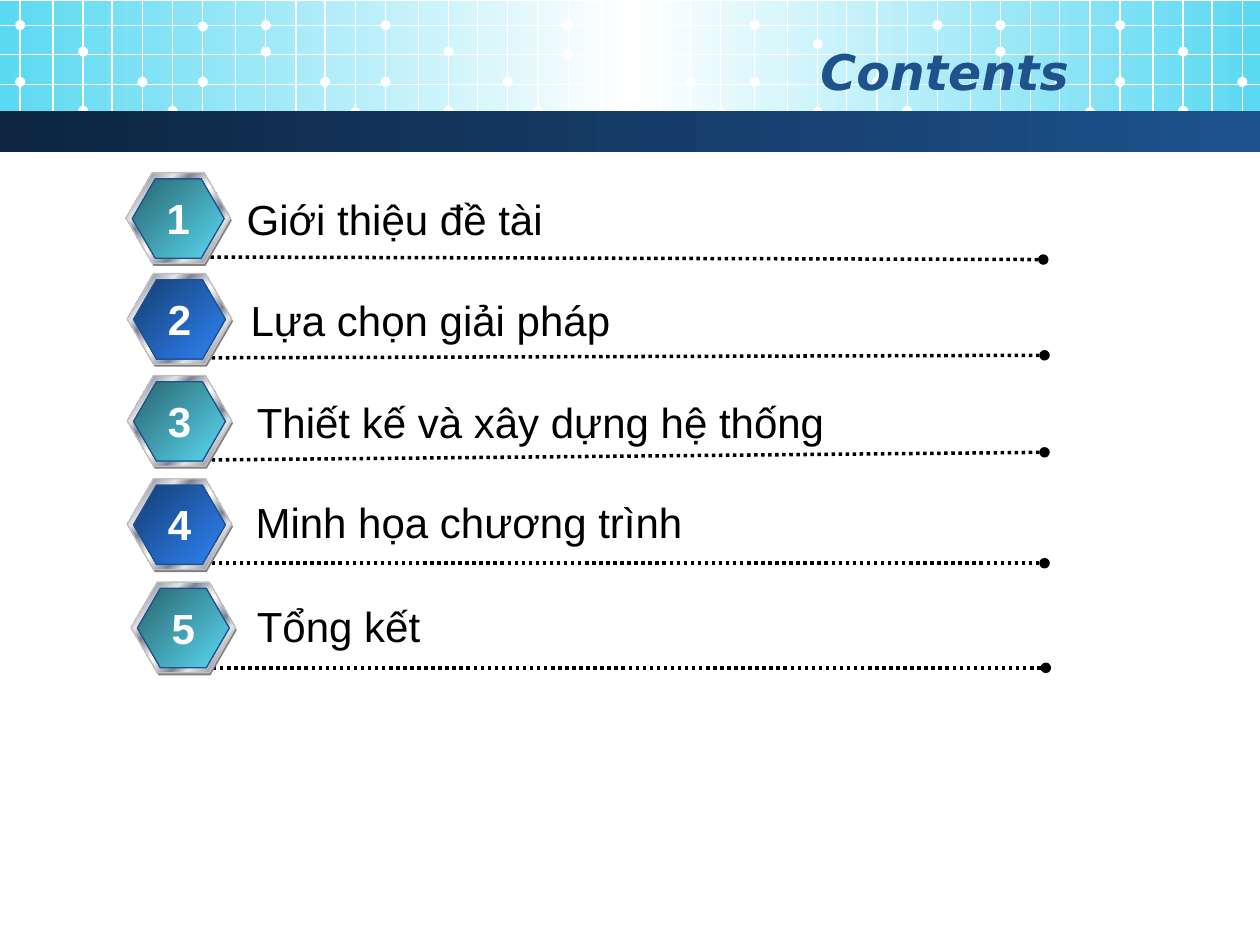
from pptx import Presentation
from pptx.dml.color import RGBColor
from pptx.enum.dml import MSO_LINE
from pptx.enum.shapes import MSO_CONNECTOR, MSO_SHAPE
from pptx.enum.text import MSO_ANCHOR, PP_ALIGN
from pptx.oxml.ns import qn
from pptx.util import Inches, Pt
from lxml import etree

RECTANGLE, OVAL, HEXAGON = MSO_SHAPE.RECTANGLE, MSO_SHAPE.OVAL, MSO_SHAPE.HEXAGON
STRAIGHT = MSO_CONNECTOR.STRAIGHT
DOTTED = MSO_LINE.ROUND_DOT
LEFT, CENTER, RIGHT = PP_ALIGN.LEFT, PP_ALIGN.CENTER, PP_ALIGN.RIGHT
MIDDLE, TOP = MSO_ANCHOR.MIDDLE, MSO_ANCHOR.TOP

WHITE, BLACK, NAVY, CYAN, BLUE = "FFFFFF", "000000", "1D528D", "5AD9F2", "2F85F7"
SHADE = "46275"
HEADER_STOPS = [(0, CYAN), (50, WHITE), (100, CYAN)]
METAL_STOPS = [(0, "E6E6E6"), (8, "7D8496"), (26, "E6E6E6"), (34, "7D8496"),
               (46, "E6E6E6"), (50, WHITE), (54, "E6E6E6"), (66, "7D8496"),
               (74, "E6E6E6"), (92, "7D8496"), (100, "E6E6E6")]

# The header grid repeats in sections: line offsets, and dot tops on some lines
SECTION_STARTS = [0.16, 3.06, 5.99, 8.89]
LINE_OFFSETS = [0, 0.26, 0.5, 0.73, 0.97, 1.21, 1.45, 1.71, 1.95, 2.19, 2.42, 2.66]
GRID_ROWS = [0.2, 0.43, 0.67, 0.89]
DOT_TOPS = {0: [0.61, 0.16], 0.5: [0.37, 0.84], 0.97: [0.61], 1.21: [0.84],
            1.45: [0.39, 0.16], 1.95: [0.37, 0.16], 2.42: [0.61], 2.66: [0.85]}
SPECIAL_DOT_TOPS = {(0.16, 1.45): [0.61, 0.17], (5.99, 0.5): [0.31, 0.85],
                    (5.99, 1.45): [0.47, 0.16]}
DOT_SIZE = 0.08

# Badge left and top, label text with its left, top and width, rule start and end
ITEMS = [
    ((1, 1.37), "Giới thiệu đề tài", (1.86, 1.49, 2.58), (1.67, 2.04), (8.28, 2.06)),
    ((1.01, 2.17), "Lựa chọn giải pháp", (1.89, 2.29, 3.09), (1.68, 2.84), (8.29, 2.82)),
    ((1.01, 2.98), "Thiết kế và xây dựng hệ thống", (1.94, 3.1, 4.73), (1.68, 3.65), (8.29, 3.59)),
    ((1.01, 3.8), "Minh họa chương trình", (1.93, 3.89, 5.67), (1.68, 4.47), (8.29, 4.47)),
    ((1.04, 4.62), "Tổng kết", (1.94, 4.72, 1.51), (1.69, 5.3), (8.3, 5.3)),
]


def rgb(color):
    return RGBColor.from_string(color)


def shaded_stops(color):
    """Run from a darkened tone of the color to the color itself."""
    return [(0, color, SHADE), (100, color)]


def fill_gradient(shape, stops, angle):
    shape.fill.gradient()
    shape.fill.gradient_angle = angle
    stop_list = shape.fill._xPr.find(".//" + qn("a:gsLst"))
    for default_stop in list(stop_list):
        stop_list.remove(default_stop)
    for position, color, *shade in stops:
        stop = etree.SubElement(stop_list, qn("a:gs"), pos=str(position * 1000))
        tone = etree.SubElement(stop, qn("a:srgbClr"), val=color)
        if shade:
            etree.SubElement(tone, qn("a:gamma"))
            etree.SubElement(tone, qn("a:shade"), val=shade[0])
            etree.SubElement(tone, qn("a:invGamma"))


def add_figure(slide, kind, box, fill, outline=None, angle=0):
    """Add a preset shape; fill is a hex color or a list of gradient stops."""
    figure = slide.shapes.add_shape(kind, *map(Inches, box))
    figure.shadow.inherit = False
    if isinstance(fill, str):
        figure.fill.solid()
        figure.fill.fore_color.rgb = rgb(fill)
    else:
        fill_gradient(figure, fill, angle)
    if outline:
        figure.line.color.rgb = rgb(outline)
        figure.line.width = Pt(0.75)
    else:
        figure.line.fill.background()
    return figure


def add_line(slide, start, end, color, width):
    line = slide.shapes.add_connector(STRAIGHT, *map(Inches, start + end))
    line.line.color.rgb = rgb(color)
    line.line.width = Pt(width)
    etree.SubElement(line._element.spPr, qn("a:effectLst"))
    return line


def add_rule(slide, start, end):
    rule = add_line(slide, start, end, BLACK, 2)
    rule.line.dash_style = DOTTED
    etree.SubElement(rule.line._ln, qn("a:tailEnd"), type="oval")


def add_text(slide, box, text, color, align=LEFT, anchor=TOP, wrap=False, **font):
    frame = slide.shapes.add_textbox(*map(Inches, box)).text_frame
    frame.word_wrap = wrap
    frame.vertical_anchor = anchor
    paragraph = frame.paragraphs[0]
    paragraph.text = text
    paragraph.alignment = align
    paragraph.font.color.rgb = rgb(color)
    for name, value in ({"name": "Arial", "size": Pt(24)} | font).items():
        setattr(paragraph.font, name, value)


def add_header(slide):
    add_figure(slide, RECTANGLE, (0, 0.01, 10, 1.02), HEADER_STOPS)
    for start in SECTION_STARTS:
        for offset in LINE_OFFSETS:
            x = start + offset
            if x > 10:
                break
            add_line(slide, (x, 0), (x, 1.1), WHITE, 0.75)
            tops = SPECIAL_DOT_TOPS.get((start, offset), DOT_TOPS.get(offset, []))
            for top in tops:
                add_figure(slide, OVAL, (x - DOT_SIZE / 2, top, DOT_SIZE, DOT_SIZE), WHITE)
    for y in GRID_ROWS:
        add_line(slide, (0, y), (10, y), WHITE, 0.75)
    add_figure(slide, RECTANGLE, (0, 0.88, 10, 0.33), shaded_stops(NAVY))
    add_text(slide, (0.5, 0.25, 8.08, 0.62), "Contents", NAVY, RIGHT, MIDDLE, True,
             name="DejaVu Sans", size=Pt(28), bold=True, italic=True)


def add_badge(slide, left, top, number):
    color = CYAN if number % 2 else BLUE
    layers = [
        ((left + 0.01, top + 0.02, 0.83, 0.72), "808080", None),
        ((left, top, 0.83, 0.72), METAL_STOPS, "C0C0C0"),
        ((left + 0.05, top + 0.05, 0.73, 0.63), shaded_stops(color), NAVY),
    ]
    for box, fill, outline in layers:
        hexagon = add_figure(slide, HEXAGON, box, fill, outline, angle=315)
        hexagon.adjustments[0] = 0.29
    add_text(slide, (left + 0.22, top + 0.11, 0.39, 0.5), str(number), WHITE, CENTER,
             bold=True)


def main():
    presentation = Presentation()
    presentation.slide_width = Inches(10)
    presentation.slide_height = Inches(7.5)
    slide = presentation.slides.add_slide(presentation.slide_layouts[6])
    add_header(slide)
    for number, (badge, label, place, start, end) in enumerate(ITEMS, 1):
        add_rule(slide, start, end)
        add_badge(slide, *badge, number)
        add_text(slide, place + (0.5,), label, BLACK)
    presentation.save("out.pptx")


if __name__ == "__main__":
    main()
